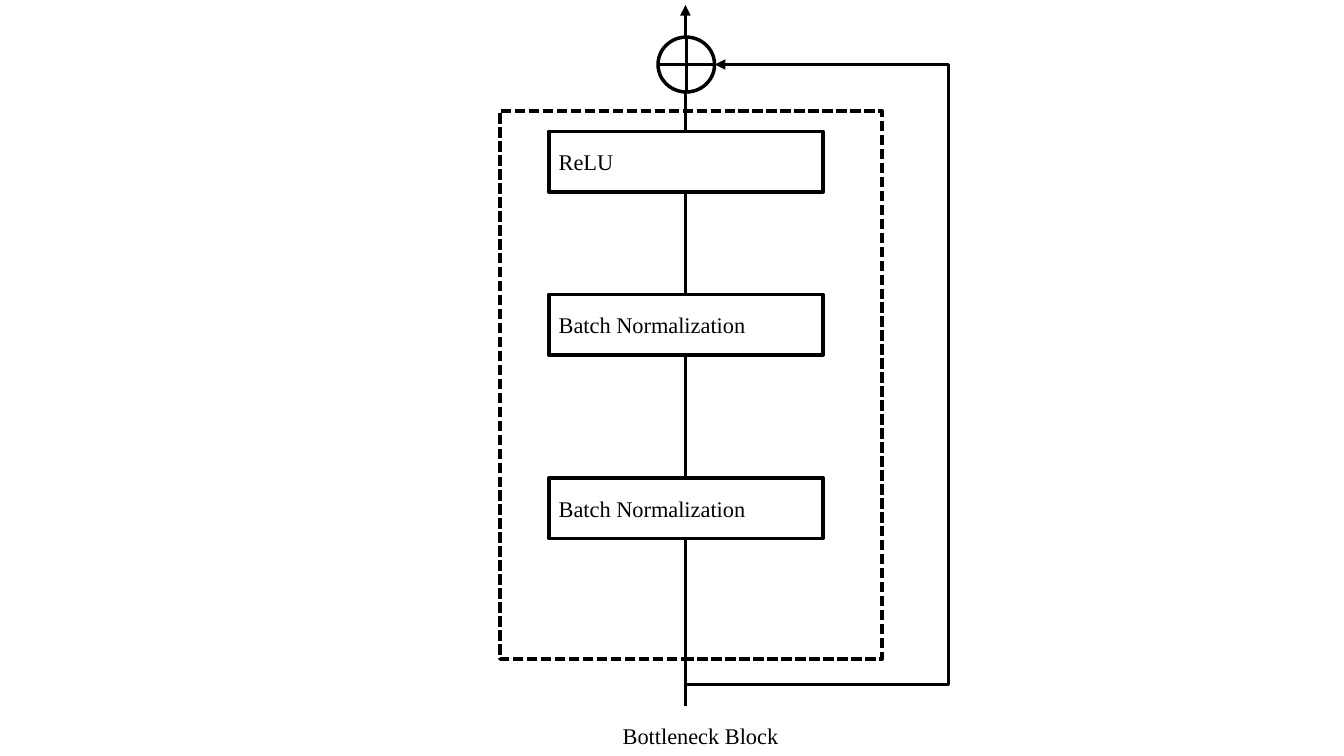
from pptx import Presentation
from pptx.dml.color import RGBColor
from pptx.enum import dml, shapes, text
from pptx.oxml import parse_xml
from pptx.oxml.ns import nsdecls, qn
from pptx.util import Pt

COLORS = {"ink": "000000", "paper": "FFFFFF"}
AXIS = 489.6  # x of the main path
SUM_Y, SUM_W, SUM_H = 46.1, 40.4, 39.2
SUM_RIGHT = AXIS + SUM_W / 2 + 0.8
BYPASS_X, BYPASS_Y = 677.5, 489

prs = Presentation()
prs.slide_width, prs.slide_height = Pt(960), Pt(540)
s = prs.slides.add_slide(prs.slide_layouts[6])


def add_box(kind, center_x, center_y, w, h, filled=True):
    sp = s.shapes.add_shape(kind, Pt(center_x - w / 2), Pt(center_y - h / 2), Pt(w), Pt(h))
    sp.shadow.inherit = False
    sp.line.color.rgb = RGBColor.from_string(COLORS["ink"])
    sp.line.width = Pt(2.5)
    if filled:
        sp.fill.solid()
        sp.fill.fore_color.rgb = RGBColor.from_string(COLORS["paper"])
    else:
        sp.fill.background()
    return sp


def add_line(x1, y1, x2, y2, kind=shapes.MSO_CONNECTOR.STRAIGHT, arrow=False):
    c = s.shapes.add_connector(kind, Pt(x1), Pt(y1), Pt(x2), Pt(y2))
    c.line.color.rgb = RGBColor.from_string(COLORS["ink"])
    c.line.width = Pt(2.5)
    if arrow:
        c.line._get_or_add_ln().append(parse_xml(f'<a:tailEnd {nsdecls("a")} type="triangle"/>'))
    c._element.spPr.append(parse_xml(f'<a:effectLst {nsdecls("a")}/>'))
    return c


# Skip connection, bending out to the right of the block
skip = add_line(AXIS, BYPASS_Y, SUM_RIGHT, SUM_Y, shapes.MSO_CONNECTOR.ELBOW, arrow=True)
bend = round((BYPASS_X - AXIS) / (SUM_RIGHT - AXIS) * 100000)
geom = skip._element.spPr.find(qn("a:prstGeom"))
geom.get_or_add_avLst().append(
    parse_xml(f'<a:gd {nsdecls("a")} name="adj1" fmla="val {bend}"/>'))

# Dashed frame and main path
frame = add_box(shapes.MSO_SHAPE.RECTANGLE, 493.6, 275, 273, 391.6, filled=False)
frame.line.dash_style = dml.MSO_LINE.SQUARE_DOT
add_line(AXIS, 504, AXIS, 3.6, arrow=True)

# Sum symbol
sum_x = AXIS + 0.6
add_box(shapes.MSO_SHAPE.OVAL, sum_x, SUM_Y, SUM_W, SUM_H)
add_line(sum_x, SUM_Y - SUM_H / 2, sum_x, SUM_Y + SUM_H / 2)
add_line(sum_x + SUM_W / 2, SUM_Y, sum_x - SUM_W / 2, SUM_Y)

# Layers, bottom to top
labels = []
for name, y in [("Batch Normalization", 363), ("Batch Normalization", 232), ("ReLU", 115.5)]:
    sp = add_box(shapes.MSO_SHAPE.RECTANGLE, AXIS + 0.4, y, 196, 43.2)
    tf = sp.text_frame
    tf.text = name
    tf.vertical_anchor = text.MSO_ANCHOR.MIDDLE
    tf.paragraphs[0].alignment = text.PP_ALIGN.LEFT
    labels.append(tf)

# Caption
tf = s.shapes.add_textbox(Pt(427.7), Pt(512), Pt(145.4), Pt(26.6)).text_frame
tf.word_wrap = True
tf.text = "Bottleneck Block"
tf.paragraphs[0].alignment = text.PP_ALIGN.CENTER
labels.append(tf)

for tf in labels:
    font = tf.paragraphs[0].runs[0].font
    font.name, font.size = "Times New Roman", Pt(16)
    font.color.rgb = RGBColor.from_string(COLORS["ink"])

prs.save("out.pptx")
